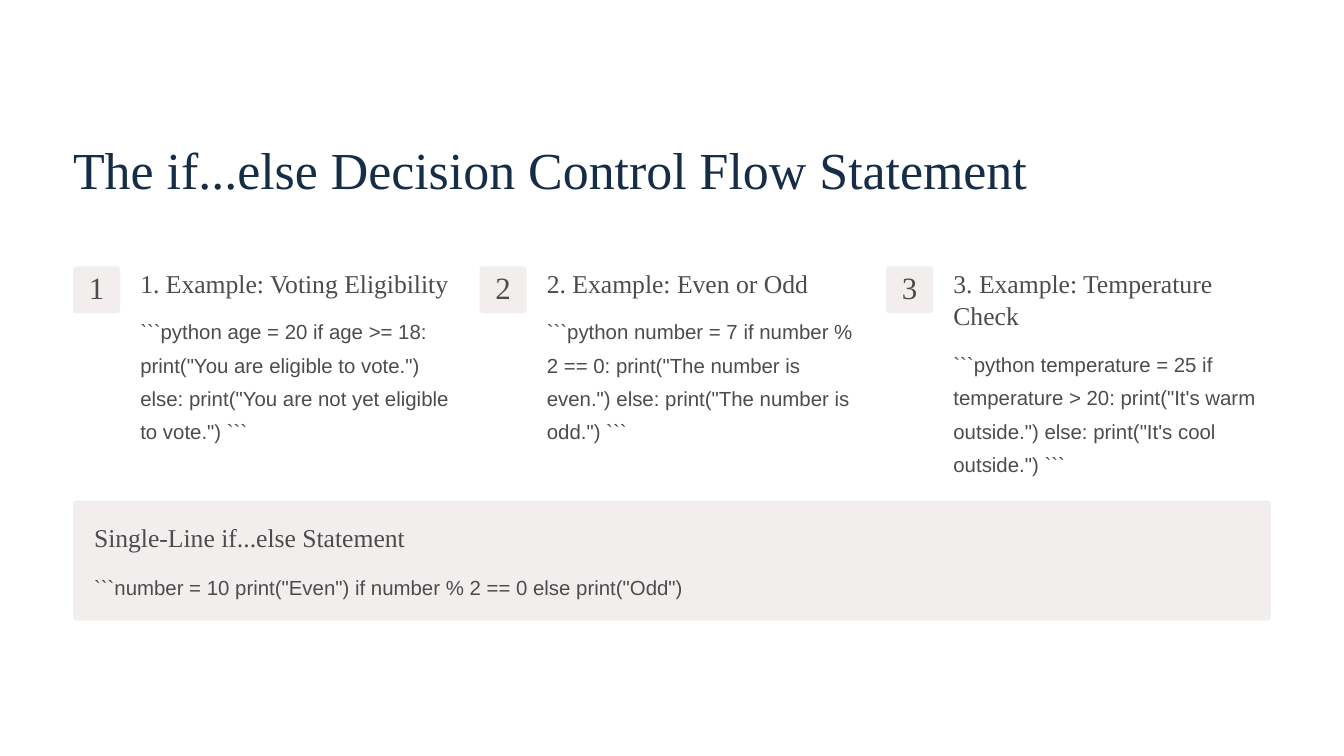
from dataclasses import dataclass

from pptx import Presentation
from pptx.dml.color import RGBColor
from pptx.enum.shapes import MSO_SHAPE
from pptx.enum.text import MSO_ANCHOR, PP_ALIGN
from pptx.util import Inches, Pt

ROUNDED = MSO_SHAPE.ROUNDED_RECTANGLE
MIDDLE = MSO_ANCHOR.MIDDLE
CENTER = PP_ALIGN.CENTER


@dataclass(frozen=True)
class TextStyle:
    font: str
    size: float
    line_spacing: float
    color: RGBColor


class Theme:
    background = RGBColor(0xFF, 0xFF, 0xFF)
    panel = RGBColor(0xF2, 0xEE, 0xEE)
    navy = RGBColor(0x15, 0x2D, 0x47)
    gray = RGBColor(0x4C, 0x4C, 0x4D)
    title = TextStyle("Times New Roman", 44.5, 55.5, navy)
    number = TextStyle("Times New Roman", 26.5, 26.5, gray)
    heading = TextStyle("Times New Roman", 22, 27.5, gray)
    body = TextStyle("Arial", 17.5, 28.5, gray)


def write_text(shape, text, style):
    """Fill the shape with one wrapped, margin-free paragraph and return it."""
    frame = shape.text_frame
    frame.word_wrap = True
    frame.margin_left = frame.margin_top = 0
    frame.margin_right = frame.margin_bottom = 0
    paragraph = frame.paragraphs[0]
    paragraph.text = text
    paragraph.line_spacing = Pt(style.line_spacing)
    paragraph.font.name = style.font
    paragraph.font.size = Pt(style.size)
    paragraph.font.color.rgb = style.color
    return paragraph


def add_panel(slide, left, top, width, height):
    panel = slide.shapes.add_shape(
        ROUNDED, Inches(left), Inches(top), Inches(width), Inches(height))
    corner_radius = 0.0375
    panel.adjustments[0] = corner_radius / height
    panel.shadow.inherit = False
    panel.fill.solid()
    panel.fill.fore_color.rgb = Theme.panel
    panel.line.fill.background()
    return panel


MARGIN = 0.87
CONTENT_WIDTH = 14.26
EXAMPLES_TOP = 3.17
BADGE_SIZE = 0.56
COLUMN_PITCH = 4.84
TEXT_OFFSET = 0.8
TEXT_WIDTH = 3.78
HEADING_LINE = 0.39
HEADING_GAP = 0.14
BODY_HEIGHT = 1.59
SUMMARY_TOP = 5.96
SUMMARY_PADDING = 0.25

# Heading, number of heading lines, code
EXAMPLES = [
    ("1. Example: Voting Eligibility", 1,
     '```python age = 20 if age >= 18: print("You are eligible to vote.") '
     'else: print("You are not yet eligible to vote.") ```'),
    ("2. Example: Even or Odd", 1,
     '```python number = 7 if number % 2 == 0: print("The number is even.") '
     'else: print("The number is odd.") ```'),
    ("3. Example: Temperature Check", 2,
     '```python temperature = 25 if temperature > 20: '
     'print("It\'s warm outside.") else: print("It\'s cool outside.") ```'),
]

presentation = Presentation()
presentation.slide_width = Inches(16)
presentation.slide_height = Inches(9)
slide = presentation.slides.add_slide(presentation.slide_layouts[6])
slide.background.fill.solid()
slide.background.fill.fore_color.rgb = Theme.background

# Text blocks: left, top, width, height, text, style
text_blocks = [(MARGIN, 1.61, CONTENT_WIDTH, 0.78,
                "The if...else Decision Control Flow Statement", Theme.title)]

# Numbered examples
for index, (heading, heading_lines, code) in enumerate(EXAMPLES):
    left = MARGIN + index * COLUMN_PITCH
    badge = add_panel(slide, left, EXAMPLES_TOP, BADGE_SIZE, BADGE_SIZE)
    write_text(badge, str(index + 1), Theme.number).alignment = CENTER
    badge.text_frame.vertical_anchor = MIDDLE

    text_left = left + TEXT_OFFSET
    heading_height = heading_lines * HEADING_LINE
    body_top = EXAMPLES_TOP + heading_height + HEADING_GAP
    text_blocks += [
        (text_left, EXAMPLES_TOP, TEXT_WIDTH, heading_height, heading, Theme.heading),
        (text_left, body_top, TEXT_WIDTH, BODY_HEIGHT, code, Theme.body),
    ]

# Single-line summary
add_panel(slide, MARGIN, SUMMARY_TOP, CONTENT_WIDTH, 1.43)
summary_left = MARGIN + SUMMARY_PADDING
summary_width = CONTENT_WIDTH - 2 * SUMMARY_PADDING
text_blocks += [
    (summary_left, 6.2, summary_width, HEADING_LINE,
     "Single-Line if...else Statement", Theme.heading),
    (summary_left, 6.74, summary_width, 0.4,
     '```number = 10 print("Even") if number % 2 == 0 else print("Odd")', Theme.body),
]

for left, top, width, height, text, style in text_blocks:
    box = slide.shapes.add_textbox(
        Inches(left), Inches(top), Inches(width), Inches(height))
    write_text(box, text, style)

presentation.save("out.pptx")
